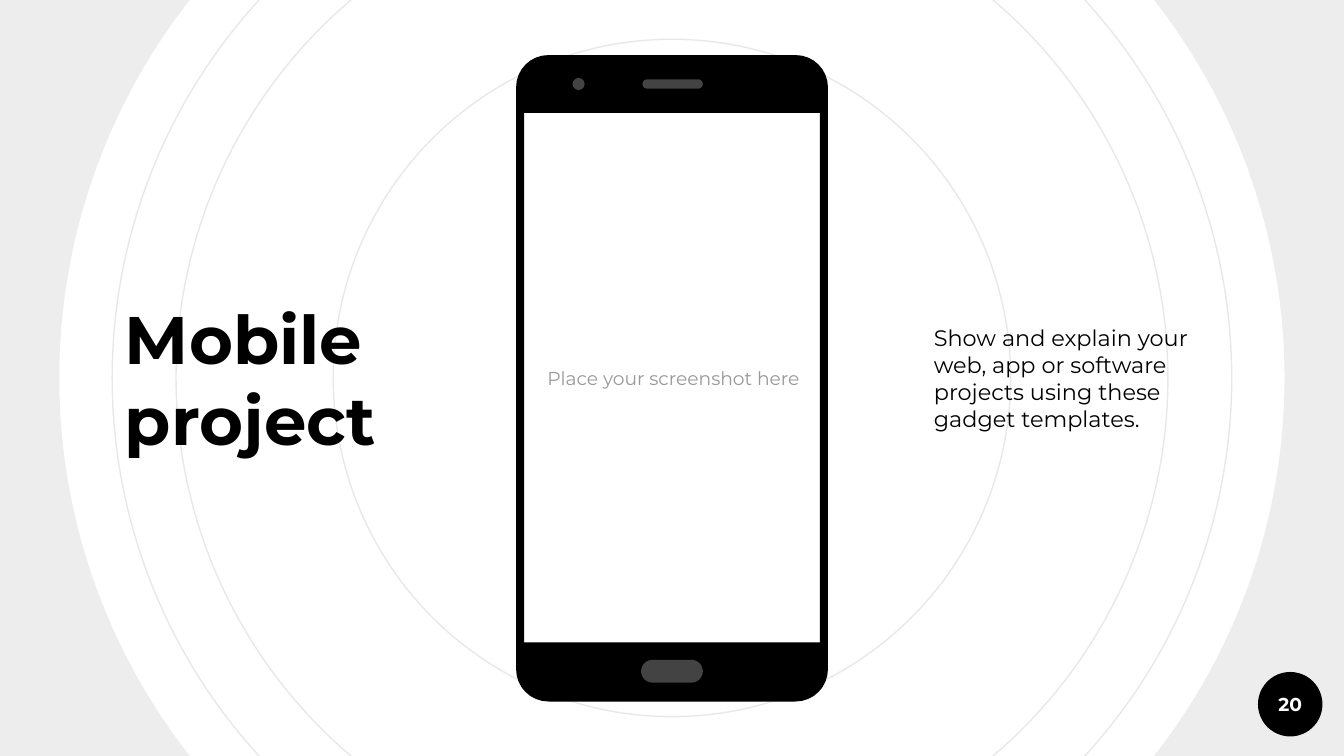
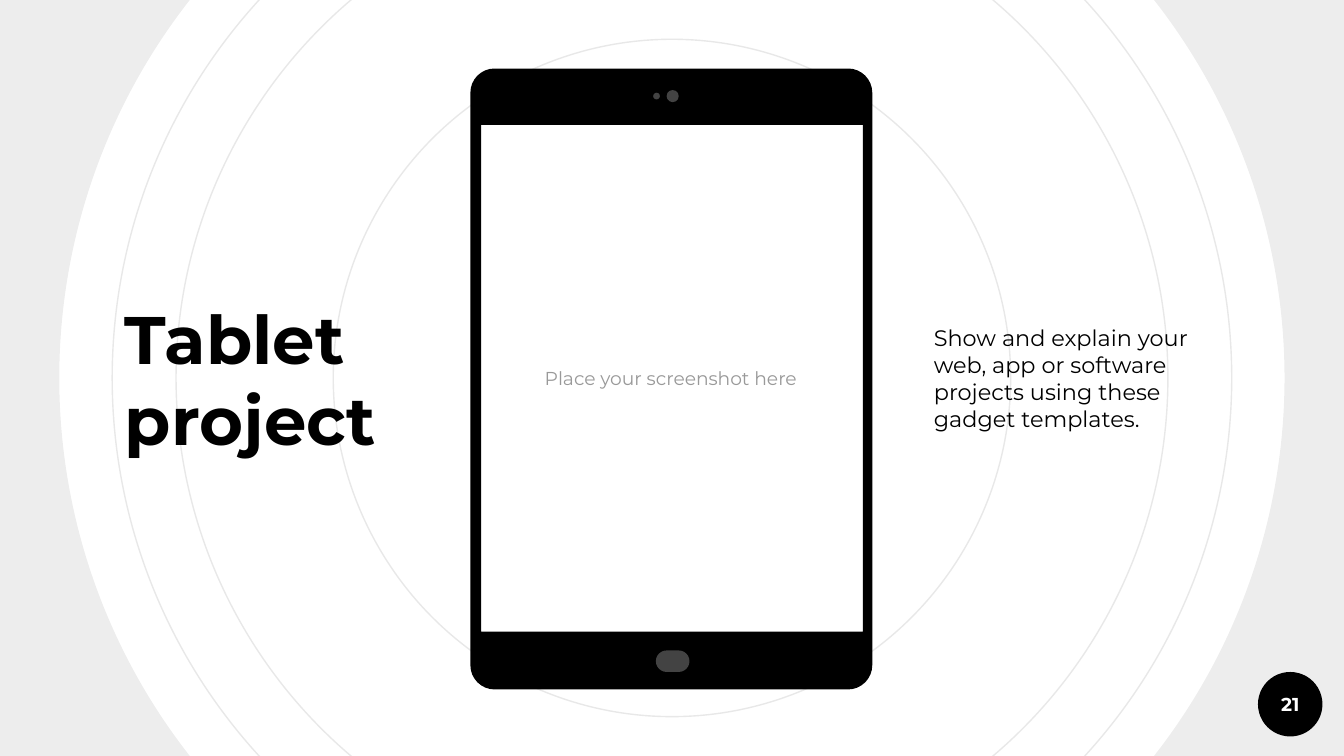
from math import cos, pi, sin

from lxml import etree
from pptx import Presentation
from pptx.dml.color import RGBColor
from pptx.enum.shapes import MSO_SHAPE
from pptx.enum.text import MSO_ANCHOR, MSO_AUTO_SIZE, PP_ALIGN
from pptx.oxml.ns import qn
from pptx.util import Inches, Pt

BLACK = RGBColor(0x00, 0x00, 0x00)
WHITE = RGBColor(0xFF, 0xFF, 0xFF)
RING_GREY = RGBColor(0xE8, 0xE8, 0xE8)
PROMPT_GREY = RGBColor(0x99, 0x99, 0x99)
DETAIL_GREY = RGBColor(0x43, 0x43, 0x43)
FONT = "Montserrat"

WIDTH = 10
HEIGHT = WIDTH * 9 / 16
RING_DIAMETERS = (8.33, 7.38, 5.04)
BAND_DIAMETER, BAND_THICKNESS, BAND_OPACITY = 11.54, 0.105, 7
TITLE_BOX = (0.83, 0.49, 2.32, 4.65)
BODY_BOX = (6.85, 0.49, 2.32, 4.65)
PAGE_BADGE = (9.36, 5, 0.48, 0.48)

EXPLANATION = ("Show and explain your web, app or software projects "
               "using these gadget templates.")
PROMPT = "Place your screenshot here"

# Boxes are left, top, width, height in inches.
PROJECTS = [
    {
        "title": "Mobile project",
        "page": "20",
        "prompt_box": (3.91, 0.86, 2.2, 3.91),
        "case": (3.84, 0.41, 2.32, 4.81),
        "corner": 0.24,
        "screen": (3.9, 0.84, 2.2, 3.94),
        "details": [
            (4.77, 4.91, 0.46, 0.17),  # home button
            (4.26, 0.58, 0.09, 0.09),  # camera
            (4.78, 0.59, 0.45, 0.07),  # speaker
        ],
    },
    {
        "title": "Tablet project",
        "page": "21",
        "prompt_box": (3.57, 0.93, 2.84, 3.76),
        "case": (3.5, 0.51, 2.99, 4.62),
        "corner": 0.18,
        "screen": (3.58, 0.93, 2.84, 3.77),
        "details": [
            (4.88, 4.84, 0.25, 0.16),  # home button
            (4.86, 0.69, 0.05, 0.05),  # sensor
            (4.96, 0.67, 0.09, 0.09),  # camera
        ],
    },
]


def inches(box):
    """Convert a box of inches to lengths."""
    return [Inches(value) for value in box]


def centred_square(size):
    """Return the box of a square in the middle of the slide."""
    return ((WIDTH - size) / 2, (HEIGHT - size) / 2, size, size)


def paint(shape, fill=None, line=None):
    """Give a shape a flat fill and outline, or none, and no shadow."""
    shape.shadow.inherit = False
    if fill is None:
        shape.fill.background()
    else:
        shape.fill.solid()
        shape.fill.fore_color.rgb = fill
    if line is None:
        shape.line.fill.background()
    else:
        shape.line.color.rgb = line
        shape.line.width = Pt(0.75)
    return shape


def write(shape, text, size, color=BLACK, bold=False,
          align=PP_ALIGN.LEFT, space_before=0):
    """Put formatted, vertically centred text into a shape."""
    frame = shape.text_frame
    frame.word_wrap = True
    frame.auto_size = MSO_AUTO_SIZE.NONE
    frame.vertical_anchor = MSO_ANCHOR.MIDDLE
    frame.margin_left = frame.margin_right = Inches(0.1)
    frame.margin_top = frame.margin_bottom = Inches(0.1)
    paragraph = frame.paragraphs[0]
    paragraph.alignment = align
    paragraph.space_before = Pt(space_before)
    run = paragraph.add_run()
    run.text = text
    run.font.name = FONT
    run.font.size = Pt(size)
    run.font.bold = bold
    run.font.color.rgb = color


def add_backdrop(slide):
    """Draw rings, outer band and page badge, then hand them to the layout."""
    shapes = slide.shapes
    backdrop = []
    for diameter in RING_DIAMETERS:
        ring = shapes.add_shape(MSO_SHAPE.OVAL,
                                *inches(centred_square(diameter)))
        backdrop.append(paint(ring, line=RING_GREY))
    band = shapes.add_shape(MSO_SHAPE.DONUT,
                            *inches(centred_square(BAND_DIAMETER)))
    band.adjustments[0] = BAND_THICKNESS
    backdrop.append(paint(band, BLACK))
    color = band.element.spPr.find(qn("a:solidFill"))[0]
    etree.SubElement(color, qn("a:alpha"), val=str(BAND_OPACITY * 1000))
    badge = shapes.add_shape(MSO_SHAPE.OVAL, *inches(PAGE_BADGE))
    backdrop.append(paint(badge, BLACK))
    for shape in backdrop:
        slide.slide_layout.shapes.element.append(shape.element)


def rounded_outline(box, radius, steps=8):
    """Return counter-clockwise points of a rounded rectangle."""
    left, top, width, height = box
    near_x, far_x = left + radius, left + width - radius
    near_y, far_y = top + radius, top + height - radius
    centres = [(near_x, near_y), (near_x, far_y),
               (far_x, far_y), (far_x, near_y)]
    points = []
    for corner, (x, y) in enumerate(centres):
        for step in range(steps + 1):
            angle = pi / 2 * (1 + corner + step / steps)
            points.append((x + radius * cos(angle), y - radius * sin(angle)))
    return points


def add_device(slide, project):
    """Draw a device as a case with an open screen, plus its details."""
    shapes = slide.shapes.add_group_shape().shapes
    left, top, width, height = project["screen"]
    right, bottom = left + width, top + height
    screen = [(right, top), (right, bottom), (left, bottom), (left, top)]
    outline = rounded_outline(project["case"], project["corner"])
    screen, outline = [[(Inches(x), Inches(y)) for x, y in points]
                       for points in (screen, outline)]
    builder = shapes.build_freeform(*screen[0])
    builder.add_line_segments(screen[1:])
    builder.move_to(*outline[0])
    builder.add_line_segments(outline[1:])
    paint(builder.convert_to_shape(), BLACK)
    for box in project["details"]:
        is_round = box[2] == box[3]
        kind = MSO_SHAPE.OVAL if is_round else MSO_SHAPE.ROUNDED_RECTANGLE
        detail = paint(shapes.add_shape(kind, *inches(box)), DETAIL_GREY)
        if not is_round:
            detail.adjustments[0] = 0.5


def add_project(slide, project):
    """Fill one slide with its title, device and explanation."""
    title = slide.shapes.title
    title.left, title.top, title.width, title.height = inches(TITLE_BOX)
    write(title, project["title"], 36, bold=True, space_before=6)
    prompt = slide.shapes.add_textbox(*inches(project["prompt_box"]))
    write(prompt, PROMPT, 10, color=PROMPT_GREY, align=PP_ALIGN.CENTER)
    page = slide.shapes.add_textbox(*inches(PAGE_BADGE))
    write(page, project["page"], 10, color=WHITE, bold=True,
          align=PP_ALIGN.CENTER)
    add_device(slide, project)
    body = slide.shapes.add_textbox(*inches(BODY_BOX))
    write(body, EXPLANATION, 12, space_before=6)


def main():
    """Build and save the presentation."""
    deck = Presentation()
    deck.slide_width, deck.slide_height = Inches(WIDTH), Inches(HEIGHT)
    layout = deck.slide_layouts.get_by_name("Title Only")
    background = deck.slide_master.background.fill
    background.solid()
    background.fore_color.rgb = WHITE
    for number, project in enumerate(PROJECTS):
        slide = deck.slides.add_slide(layout)
        if number == 0:
            add_backdrop(slide)
        add_project(slide, project)
    deck.save("out.pptx")


main()
